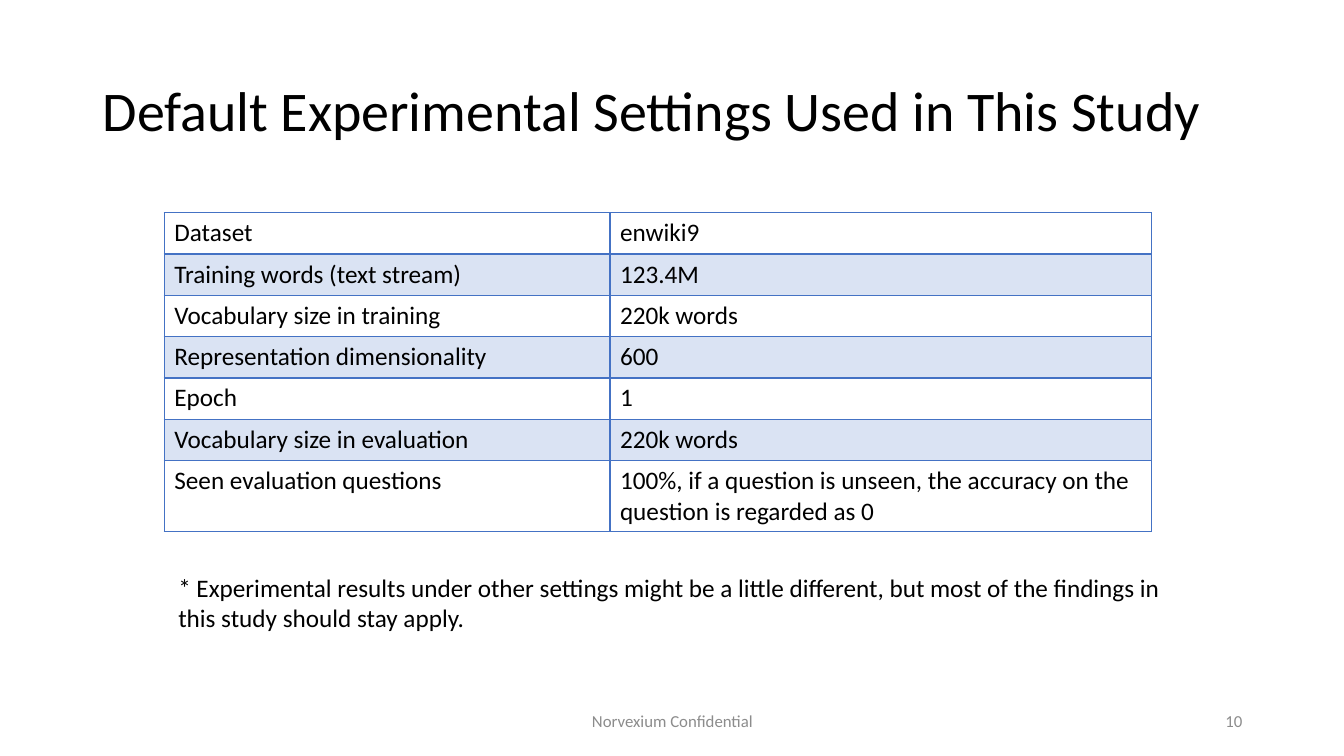
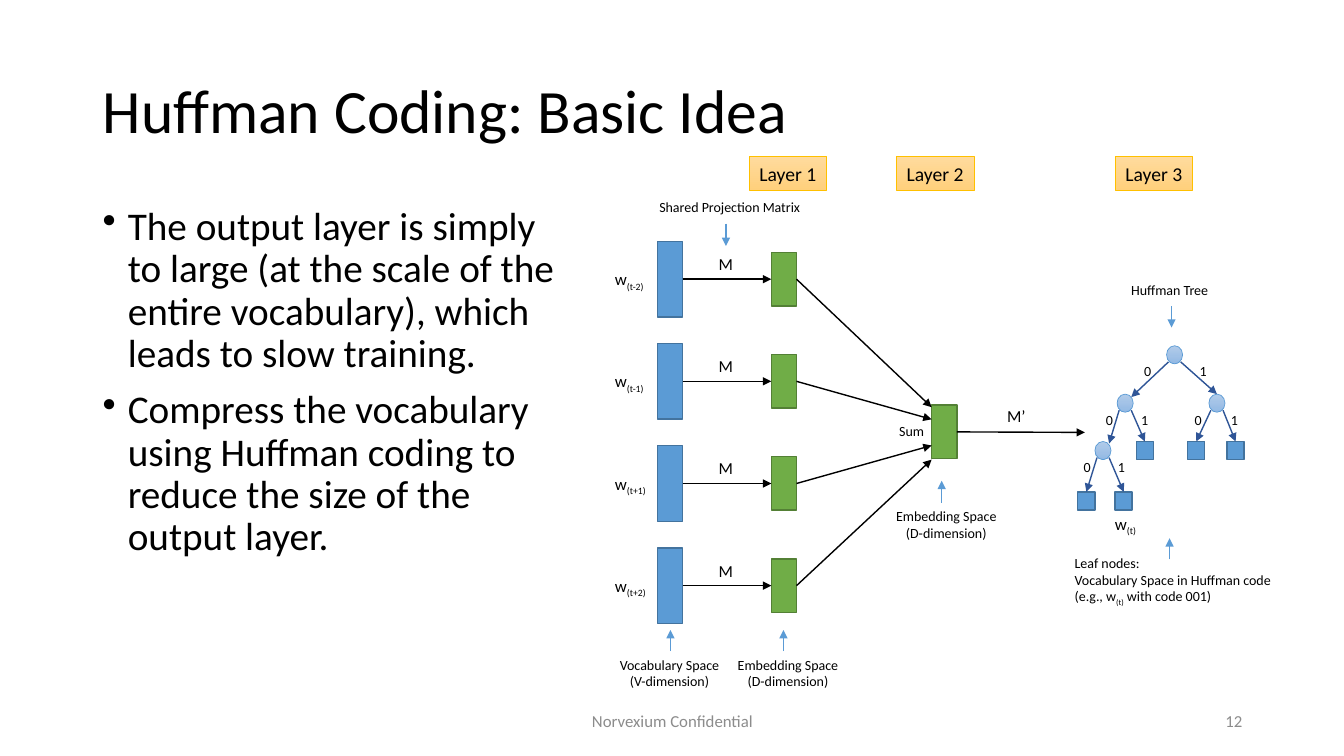
from pptx import Presentation
from pptx.dml.color import RGBColor
from pptx.enum.shapes import MSO_CONNECTOR, MSO_SHAPE
from pptx.enum.text import MSO_ANCHOR, PP_ALIGN
from pptx.oxml import parse_xml
from pptx.oxml.ns import nsdecls
from pptx.util import Inches, Pt

FONT = "Calibri"
BLACK, GRAY = "000000", "8C8C8C"
BLUE, BLUE_EDGE, TREE_EDGE = "5B9BD5", "43739E", "2F5597"
GREEN, GREEN_EDGE = "70AD47", "538035"
NODE_FILL, LAYER_FILL, GOLD = ("B1CBE9", "93B9E4"), ("FFDB9E", "FFD07C"), "FFC000"
TABLE_EDGE, TABLE_BAND = "4472C4", "DAE3F3"
LEFT, CENTER, RIGHT = PP_ALIGN.LEFT, PP_ALIGN.CENTER, PP_ALIGN.RIGHT
TOP, MIDDLE = MSO_ANCHOR.TOP, MSO_ANCHOR.MIDDLE
RECT, OVAL = MSO_SHAPE.RECTANGLE, MSO_SHAPE.OVAL
rgb = RGBColor.from_string


def add_box(s, at, paras=(), size=10, kind=None, fill=None, line=None, weight=1,
            color=BLACK, align=LEFT, anchor=TOP, wrap=False, **para_format):
    """Add a text box, or a shape of the given kind; _x_ in a text is a subscript
    and a pair of fill colours is a vertical gradient."""
    at = [Inches(v) for v in at]
    if kind is None:
        sp = s.shapes.add_textbox(*at)
    else:
        sp = s.shapes.add_shape(kind, *at)
        sp.shadow.inherit = False
        if isinstance(fill, tuple):
            sp.fill.gradient()
            sp.fill.gradient_angle = 270
            for stop, stop_color in zip(sp.fill.gradient_stops, fill):
                stop.color.rgb = rgb(stop_color)
        else:
            sp.fill.solid()
            sp.fill.fore_color.rgb = rgb(fill)
        sp.line.color.rgb = rgb(line)
        sp.line.width = Pt(weight)
    tf = sp.text_frame
    tf.word_wrap = wrap
    tf.vertical_anchor = anchor
    for i, text in enumerate(paras):
        p = tf.add_paragraph() if i else tf.paragraphs[0]
        for name, value in {"alignment": align, **para_format}.items():
            setattr(p, name, value)
        for j, part in enumerate(text.split("_")):
            r = p.add_run()
            r.text = part
            for name, value in {"name": FONT, "size": Pt(size)}.items():
                setattr(r.font, name, value)
            r.font.color.rgb = rgb(color)
            if j % 2:
                r.font._element.set("baseline", "-25000")
    return sp


def add_arrow(s, start, end, color=BLACK):
    """Each end is an (x, y) point or a (shape, connection site) pair."""
    ends = [(0, 0) if hasattr(e[0], "shape_id") else e for e in (start, end)]
    c = s.shapes.add_connector(MSO_CONNECTOR.STRAIGHT,
                               *[Inches(v) for point in ends for v in point])
    for e, connect in ((start, c.begin_connect), (end, c.end_connect)):
        if hasattr(e[0], "shape_id"):
            connect(*e)
    c.line.color.rgb = rgb(color)
    c.line.width = Pt(1)
    c.line._get_or_add_ln().append(
        parse_xml(f'<a:tailEnd {nsdecls("a")} type="triangle"/>'))
    c._element.spPr.append(parse_xml(f'<a:effectLst {nsdecls("a")}/>'))


prs = Presentation()
prs.slide_width, prs.slide_height = Inches(13.33), Inches(7.5)

# Title, footer and number of both slides
slides = []
for title, size, number in (
        ("Default Experimental Settings Used in This Study", 40, "10"),
        ("Huffman Coding: Basic Idea", 44, "12")):
    s = prs.slides.add_slide(prs.slide_layouts[6])
    add_box(s, (0.92, 0.4, 11.5, 1.45), [title], size, anchor=MIDDLE, wrap=True,
            line_spacing=0.9)
    for x, width, text, align in ((4.42, 4.5, "Norvexium Confidential", CENTER),
                                  (9.42, 3, number, RIGHT)):
        add_box(s, (x, 6.95, width, 0.4), [text], 12, color=GRAY, align=align,
                anchor=MIDDLE, wrap=True)
    slides.append(s)
settings, huffman = slides

# Settings table
rows = [
    ("Dataset", "enwiki9"),
    ("Training words (text stream)", "123.4M"),
    ("Vocabulary size in training", "220k words"),
    ("Representation dimensionality", "600"),
    ("Epoch", "1"),
    ("Vocabulary size in evaluation", "220k words"),
    ("Seen evaluation questions",
     "100%, if a question is unseen, the accuracy on the question is regarded as 0"),
]
table = settings.shapes.add_table(len(rows), 2, Inches(1.63), Inches(2.11),
                                  Inches(9.79), Inches(3.13)).table
table.first_row = table.horz_banding = False
for column, width in zip(table.columns, (4.42, 5.37)):
    column.width = Inches(width)
for i, row in enumerate(rows):
    table.rows[i].height = Inches(0.41)
    for j, text in enumerate(row):
        cell = table.cell(i, j)
        if i % 2:
            cell.fill.solid()
            cell.fill.fore_color.rgb = rgb(TABLE_BAND)
        else:
            cell.fill.background()
        r = cell.text_frame.paragraphs[0].add_run()
        r.text = text
        for name, value in {"name": FONT, "size": Pt(18)}.items():
            setattr(r.font, name, value)
        r.font.color.rgb = rgb(BLACK)
        tcPr = cell._tc.get_or_add_tcPr()
        for k, side in enumerate("LRTB"):
            weight = 2 if (i, side) in ((0, "B"), (1, "T")) else 1
            tcPr.insert(k, parse_xml(
                f'<a:ln{side} {nsdecls("a")} w="{Pt(weight)}"><a:solidFill>'
                f'<a:srgbClr val="{TABLE_EDGE}"/></a:solidFill></a:ln{side}>'))
add_box(settings, (1.67, 5.63, 10.36, 0.71),
        ["* Experimental results under other settings might be a little different, "
         "but most of the findings in this study should stay apply."], 18, wrap=True)

# Bullets
s = huffman
sp = add_box(s, (0.92, 2, 4.8, 4.76),
             ["The output layer is simply to large (at the scale of the entire "
              "vocabulary), which leads to slow training.",
              "Compress the vocabulary using Huffman coding to reduce the size of "
              "the output layer."],
             28, wrap=True, line_spacing=0.9, space_before=Pt(10))
for p in sp.text_frame.paragraphs:
    pPr = p._p.get_or_add_pPr()
    pPr.set("marL", str(Inches(0.25)))
    pPr.set("indent", str(Inches(-0.25)))
    pPr.append(parse_xml(f'<a:buChar {nsdecls("a")} char="•"/>'))

# Network: four context words projected and summed
sum_box = add_box(s, (9.24, 4.02, 0.25, 0.53), kind=RECT, fill=GREEN, line=GREEN_EDGE)
for i, (offset, sum_y) in enumerate((("-2", 4.04), ("-1", 4.16),
                                     ("+1", 4.42), ("+2", 4.56))):
    y = 2.77 + i * 3.04 / 3
    word = add_box(s, (6.52, y - 0.375, 0.25, 0.75), kind=RECT, fill=BLUE,
                   line=BLUE_EDGE)
    embedding = add_box(s, (7.65, y - 0.265, 0.25, 0.53), kind=RECT, fill=GREEN,
                        line=GREEN_EDGE)
    add_box(s, (6, y - 0.15, 0.53, 0.3), [f"w_(t{offset})_"], 12)
    add_box(s, (7.03, y - 0.3, 0.35, 0.3), ["M"], 12)
    add_arrow(s, (word, 3), (embedding, 1))
    add_arrow(s, (embedding, 3), (9.24, sum_y))
add_arrow(s, (sum_box, 3), (10.76, 4.29))
add_box(s, (8.82, 4.14, 0.45, 0.27), ["Sum"])
add_box(s, (9.89, 3.98, 0.39, 0.3), ["M’"], 12)
add_box(s, (10.96, 5.05, 0.46, 0.3), ["w_(t)_"], 12)

# Captions, each with a short arrow
embedding_space = ["Embedding Space", "(D-dimension)"]
for at, paras, align, x, y1, y2 in (
        ((6.04, 6.46, 1.2, 0.44), ["Vocabulary Space", "(V-dimension)"], CENTER,
         6.65, 6.46, 6.25),
        ((7.21, 6.46, 1.21, 0.44), embedding_space, CENTER, 7.77, 6.46, 6.25),
        ((8.78, 4.99, 1.21, 0.44), embedding_space, CENTER, 9.34, 4.99, 4.77),
        ((6.44, 1.92, 1.62, 0.27), ["Shared Projection Matrix"], LEFT,
         7.2, 2.22, 2.44),
        ((11.12, 2.74, 0.99, 0.27), ["Huffman Tree"], LEFT, 11.62, 3.04, 3.25),
        ((10.56, 5.45, 2.18, 0.61),
         ["Leaf nodes:", "Vocabulary Space in Huffman code",
          "(e.g., w_(t)_ with code 001)"], LEFT, 11.6, 5.55, 5.34)):
    add_box(s, at, paras, align=align)
    add_arrow(s, (x, y1), (x, y2), BLUE)

# Huffman tree: inner nodes by centre, then leaves by top left corner
nodes = {"root": (11.65, 3.52), "left": (11.16, 4), "right": (12.07, 4),
         "low": (10.94, 4.47)}
for x, y in nodes.values():
    add_box(s, (x - 0.08, y - 0.09, 0.16, 0.18), kind=OVAL, fill=NODE_FILL,
            line=BLUE, weight=0.5)
leaves = [add_box(s, (x, y, 0.17, 0.18), kind=RECT, fill=BLUE, line=BLUE_EDGE)
          for x, y in ((10.69, 4.88), (11.06, 4.88), (11.27, 4.38),
                       (11.78, 4.38), (12.17, 4.38))]
for parent, bit, end, label_x in (
        ("root", 0, (11.22, 3.94), 11.25), ("root", 1, (12.07, 3.91), 11.8),
        ("left", 0, (11, 4.4), 10.87), ("left", 1, (leaves[2], 0), 11.22),
        ("right", 0, (leaves[3], 0), 11.75), ("right", 1, (leaves[4], 0), 12.11),
        ("low", 0, (leaves[0], 0), 10.65), ("low", 1, (leaves[1], 0), 10.99)):
    x, y = nodes[parent]
    add_arrow(s, (x + (0.06 if bit else -0.06), y + 0.07), end, TREE_EDGE)
    add_box(s, (label_x, y + 0.03, 0.27, 0.27), [str(bit)])

# Layer tags
for i, x in enumerate((7.43, 8.89, 11.06), 1):
    add_box(s, (x, 1.55, 0.77, 0.34), [f"Layer {i}"], 14, kind=RECT,
            fill=LAYER_FILL, line=GOLD, weight=0.5, align=CENTER, anchor=MIDDLE)

prs.save("out.pptx")
